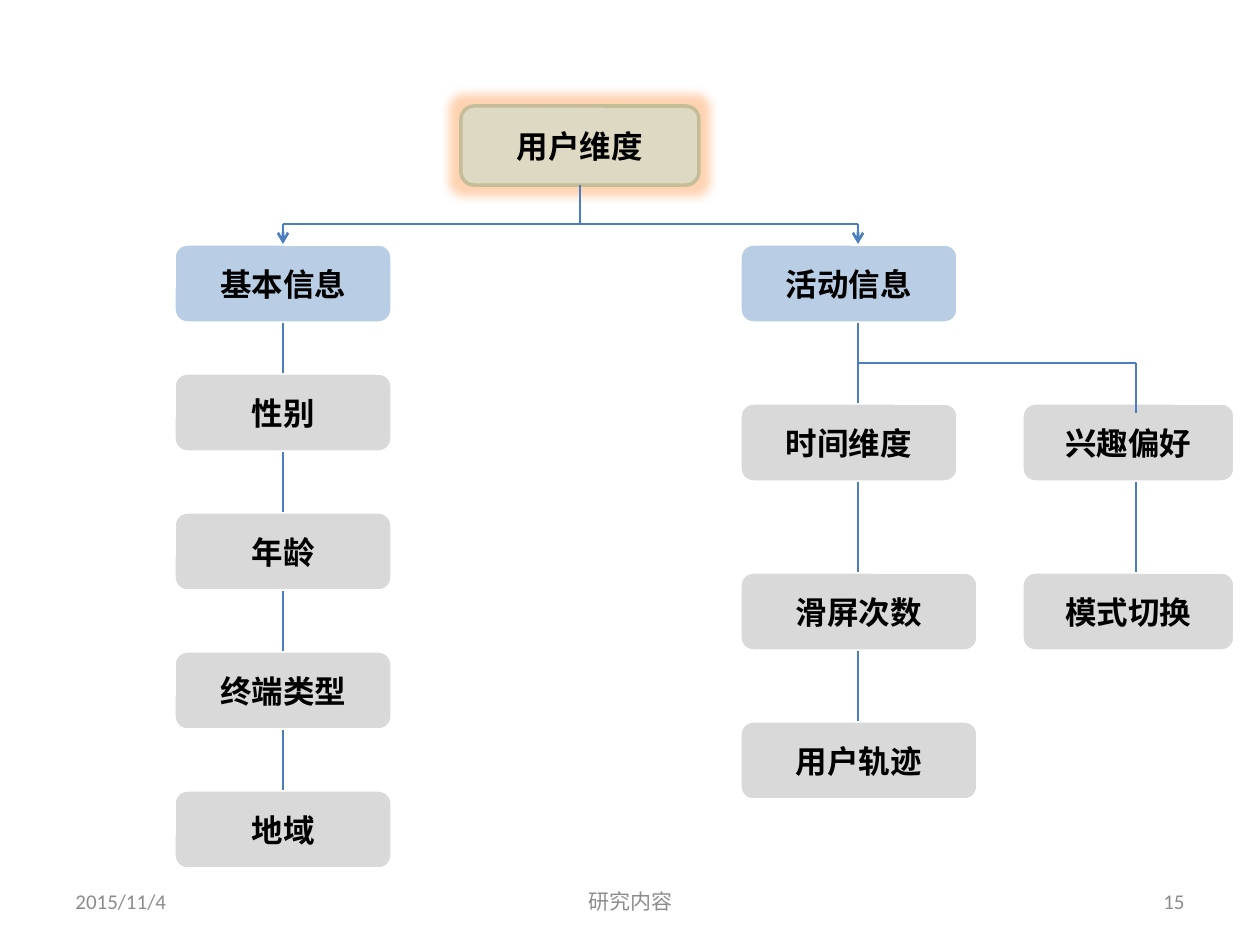
from lxml.etree import SubElement
from pptx import Presentation
from pptx.dml.color import RGBColor
from pptx.enum.shapes import MSO_CONNECTOR, MSO_SHAPE
from pptx.enum.text import MSO_ANCHOR, PP_ALIGN
from pptx.oxml.ns import qn
from pptx.util import Pt

SCALE = 914400 / 126
TALL = 79
TOP, LEFT, BOTTOM, RIGHT = range(4)
COLORS = {
    "root": "DDD9C3", "edge": "C4BD97", "glow": "FF913E",
    "group": "B9CDE5", "item": "D9D9D9", "white": "FFFFFF",
    "wire": "4B7EBC", "text": "000000", "foot": "8C8C8C",
}


def px(*nums):
    """Turn px lengths into EMU."""
    return [round(num * SCALE) for num in nums]


def rgb(name):
    """Look up a colour by its name."""
    return RGBColor.from_string(COLORS[name])


def write(shape, text, size, color, align, bold=False):
    """Set and format the single line of text in a shape."""
    frame = shape.text_frame
    frame.text = text
    frame.word_wrap = True
    frame.vertical_anchor = MSO_ANCHOR.MIDDLE
    para = frame.paragraphs[0]
    para.alignment = align
    font = para.runs[0].font
    font.name, font.size, font.bold = "Calibri", Pt(size), bold
    font.color.rgb = rgb(color)


def node(slide, box, text, fill, edge="white"):
    """Draw a rounded box with a bold label."""
    shape = slide.shapes.add_shape(MSO_SHAPE.ROUNDED_RECTANGLE, *px(*box))
    shape.shadow.inherit = False
    shape.fill.solid()
    shape.fill.fore_color.rgb = rgb(fill)
    shape.line.color.rgb = rgb(edge)
    shape.line.width = Pt(2)
    write(shape, text, 18, "text", PP_ALIGN.CENTER, True)
    return shape


def wire(slide, start, end, above=None, below=None, arrow=False):
    """Draw a line, joined to the boxes above and below it if given."""
    line = slide.shapes.add_connector(MSO_CONNECTOR.STRAIGHT, *px(*start, *end))
    line.line.color.rgb = rgb("wire")
    line.line.width = Pt(1.5)
    if arrow:
        SubElement(line.line._get_or_add_ln(), qn("a:tailEnd"), type="arrow")
    SubElement(line._element.spPr, qn("a:effectLst"))
    if above is not None:
        line.begin_connect(above, BOTTOM)
    if below is not None:
        line.end_connect(below, TOP)


def glow(shape):
    """Put a soft halo around a shape."""
    halo = SubElement(shape._element.spPr.find(qn("a:effectLst")),
                      qn("a:glow"), rad="139700")
    tint = SubElement(halo, qn("a:srgbClr"), val=COLORS["glow"])
    SubElement(tint, qn("a:alpha"), val="40000")


def basic(slide, box):
    """Draw the evenly stepped column of basic facts and return its head."""
    left, top, width, _ = box
    head = last = node(slide, (left, top, width, TALL), "基本信息", "group")
    mid = left + width // 2
    for step, text in enumerate(["性别", "年龄", "终端类型", "地域"]):
        row = top + 129 + step * 139
        item = node(slide, (left, row, width, TALL), text, "item")
        wire(slide, (mid, row - 60), (mid, row), last, item)
        last = item
    return head


def active(slide, box):
    """Draw the activity branch with its two columns."""
    left, top, width, _ = box
    rows = [top + 159, top + 328, top + 477]
    mid, far, fork = left + 118, left + 396, top + 119
    node(slide, (left, top, width - 278, TALL), "活动信息", "group")
    for row, wide, text in zip(rows, (218, 238, 238),
                               ("时间维度", "滑屏次数", "用户轨迹")):
        node(slide, (left, row, wide, TALL), text, "item")
    for row, text in zip(rows, ("兴趣偏好", "模式切换")):
        node(slide, (left + 282, row, 213, TALL), text, "item")
    wire(slide, (mid, top + TALL), (mid, rows[0]))
    wire(slide, (mid, fork), (far, fork))
    wire(slide, (far, fork), (far, rows[0] + 10))
    for spot, high, low in ((mid, 0, 1), (mid, 1, 2), (far, 0, 1)):
        wire(slide, (spot, rows[high] + TALL), (spot, rows[low]))


def crown(slide, box, head, mid):
    """Draw the root box and the arrows down to both branches."""
    left, top, width, tall = box
    root = node(slide, box, "用户维度", "root", "edge")
    glow(root)
    hub, bus, end = left + width // 2, top + tall + 39, top + 138
    side = left - 178
    wire(slide, (side, bus), (mid, bus))
    wire(slide, (hub, top + tall), (hub, bus), above=root)
    wire(slide, (mid, bus), (mid, end), arrow=True)
    wire(slide, (side, bus), (side, end), below=head, arrow=True)


def footer(slide, box):
    """Draw the date, the title and the page number."""
    left, top, width, tall = box
    parts = (
        (0, 294, "2015/11/4", PP_ALIGN.LEFT),
        (368, 399, "研究内容", PP_ALIGN.CENTER),
        (width - 294, 294, "15", PP_ALIGN.RIGHT),
    )
    for shift, wide, text, align in parts:
        label = slide.shapes.add_textbox(*px(left + shift, top, wide, tall))
        write(label, text, 12, "foot", align)


def main():
    """Build the slide and save it."""
    deck = Presentation()
    deck.slide_width, deck.slide_height = px(1260, 945)
    slide = deck.slides.add_slide(deck.slide_layouts[6])
    footer(slide, (63, 876, 1134, 50))
    head = basic(slide, (174, 244, 218, 625))
    active(slide, (740, 244, 496, 556))
    crown(slide, (461, 106, 238, TALL), head, 858)
    deck.save("out.pptx")


if __name__ == "__main__":
    main()
